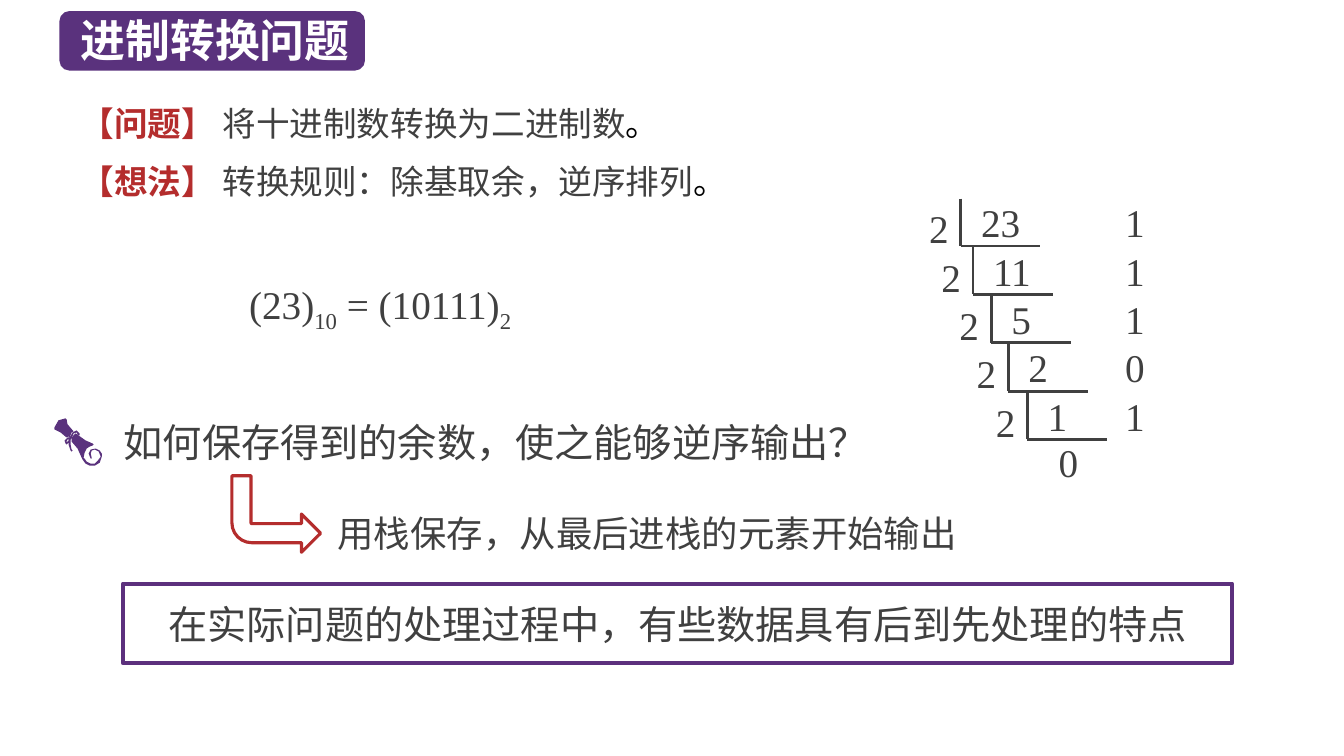
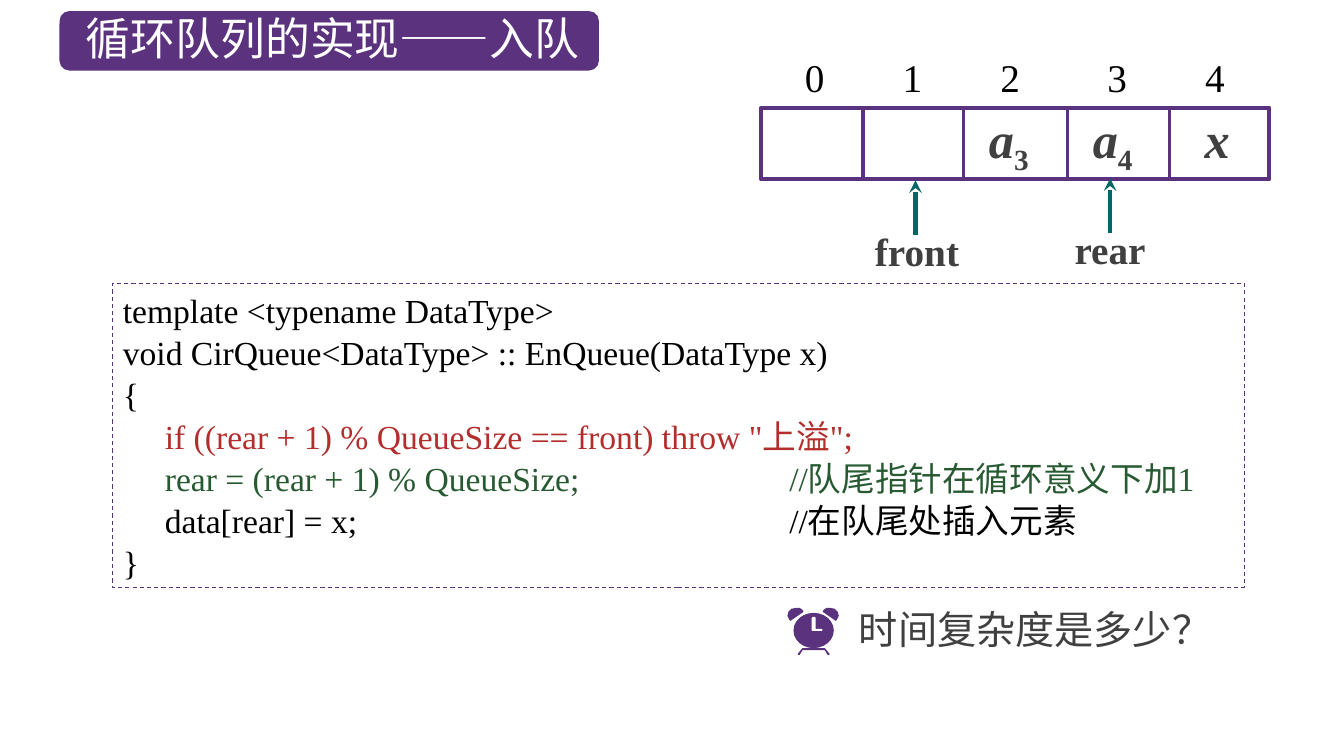
from lxml.etree import SubElement
from pptx import Presentation
from pptx.dml.color import RGBColor
from pptx.enum.dml import MSO_LINE
from pptx.enum.shapes import MSO_CONNECTOR, MSO_SHAPE
from pptx.enum.text import MSO_ANCHOR, MSO_AUTO_SIZE, PP_ALIGN
from pptx.oxml.ns import qn
from pptx.util import Pt

PX = 9144  # EMU in one px, 100 px to the inch
PURPLE = RGBColor(0x5A, 0x32, 0x7D)
FRAME_PURPLE = RGBColor(0x5C, 0x30, 0x7D)
RED = RGBColor(0xB4, 0x2D, 0x2D)
GREEN = RGBColor(0x28, 0x5A, 0x32)
TEAL = RGBColor(0x00, 0x66, 0x66)
GRAY = RGBColor(0x40, 0x40, 0x40)
BLACK = RGBColor(0x00, 0x00, 0x00)
WHITE = RGBColor(0xFF, 0xFF, 0xFF)
SERIF = "Times New Roman"
SANS = "Noto Sans CJK SC"


def write(paragraph, runs, size=28, color=GRAY, bold=False, italic=False,
          font=SERIF, align=PP_ALIGN.LEFT, spacing=None):
    """Fill a paragraph; runs is a text or a list of (text, changes)."""
    paragraph.alignment = align
    if spacing:
        paragraph.line_spacing = Pt(spacing)
    paragraph.font.size = Pt(size)
    paragraph.font.bold = bold
    paragraph.font.italic = italic
    paragraph.font.color.rgb = color
    paragraph.font.name = font
    default = paragraph._p.pPr.find(qn("a:defRPr"))
    SubElement(default, qn("a:ea")).set("typeface", SANS)
    for text, changes in [(runs, {})] if isinstance(runs, str) else runs:
        run = paragraph.add_run()
        run.text = text
        if "color" in changes:
            run.font.color.rgb = changes["color"]
        if "bold" in changes:
            run.font.bold = changes["bold"]
        if "subscript" in changes:
            run.font.italic = False
            run._r.get_or_add_rPr().set("baseline", "-25000")


def add_text(slide, left, top, width, height, runs, margins=True, **style):
    box = slide.shapes.add_textbox(left * PX, top * PX, width * PX, height * PX)
    frame = box.text_frame
    frame.word_wrap = True
    if not margins:
        frame.margin_left = frame.margin_right = 0
        frame.margin_top = frame.margin_bottom = 0
    write(frame.paragraphs[0], runs, **style)


presentation = Presentation()
presentation.slide_width = 1333 * PX
presentation.slide_height = 750 * PX

# Titles on rounded bands
slides = []
for text, band_width, title_top, title_width, bold, align in (
    ("进制转换问题", 303, 7, 299, True, PP_ALIGN.LEFT),
    ("循环队列的实现——入队", 535, 5, 520, False, PP_ALIGN.CENTER),
):
    slide = presentation.slides.add_slide(presentation.slide_layouts[5])
    slides.append(slide)
    band = slide.shapes.add_shape(
        MSO_SHAPE.ROUNDED_RECTANGLE, 59 * PX, 11 * PX, band_width * PX, 59 * PX)
    band.shadow.inherit = False
    band.fill.solid()
    band.fill.fore_color.rgb = PURPLE
    band.line.fill.background()
    title = slide.shapes.title
    title.element.addprevious(band.element)
    title.left, title.top = 70 * PX, title_top * PX
    title.width, title.height = title_width * PX, 64 * PX
    title.text_frame.auto_size = MSO_AUTO_SIZE.NONE
    title.text_frame.vertical_anchor = MSO_ANCHOR.MIDDLE
    write(title.text_frame.paragraphs[0], text, size=32, color=WHITE,
          bold=bold, font=SANS, align=align)
conversion, enqueue = slides

# Outlined boxes and the bent arrow
outlined = []
for slide, kind, left, top, width, height, color, weight in (
    (conversion, MSO_SHAPE.RECTANGLE, 122, 579, 1100, 79, FRAME_PURPLE, 3),
    (conversion, MSO_SHAPE.BENT_ARROW, 230, 472, 88, 76, RED, 2.25),
    (enqueue, MSO_SHAPE.RECTANGLE, 112, 281, 1122, 302, PURPLE, 0.75),
    (enqueue, MSO_SHAPE.RECTANGLE, 755, 107, 504, 71, PURPLE, 3),
):
    shape = slide.shapes.add_shape(
        kind, left * PX, top * PX, width * PX, height * PX)
    shape.shadow.inherit = False
    shape.fill.background()
    shape.line.color.rgb = color
    shape.line.width = Pt(weight)
    outlined.append(shape)
summary, bent_arrow, code_box, queue_box = outlined

# Slide 1: problem, idea and conclusion
for top, height, label, sentence, spacing in (
    (97, 50, "【问题】 ", "将十进制数转换为二进制数", None),
    (153, 52, "【想法】 ", "转换规则：除基取余，逆序排列", 30),
):
    add_text(conversion, 70, top, 1142, height, [
        (label, {"color": RED, "bold": True}),
        (sentence, {}),
        ("。", {"color": BLACK}),
    ], size=24, spacing=spacing)
add_text(conversion, 193, 278, 368, 47, [
    ("(23)", {}), ("10", {"subscript": True}),
    (" = (10111)", {}), ("2", {"subscript": True}),
], margins=False, align=PP_ALIGN.CENTER)
add_text(conversion, 113, 410, 1162, 57, "如何保存得到的余数，使之能够逆序输出？")
add_text(conversion, 325, 502, 897, 54, "用栈保存，从最后进栈的元素开始输出", size=26)
bent_arrow.adjustments[3] = 0.26
bent_arrow.element.spPr.find(qn("a:xfrm")).set("flipV", "1")
summary.text_frame.word_wrap = True
summary.text_frame.vertical_anchor = MSO_ANCHOR.MIDDLE
write(summary.text_frame.paragraphs[0],
      "在实际问题的处理过程中，有些数据具有后到先处理的特点",
      font=SANS, align=PP_ALIGN.CENTER)

# Slide 1: repeated division by two
lines = []  # slide, start x, start y, end x, end y, colour, weight, arrow
for step, (left, dividend, remainder) in enumerate((
    (953, "23", "1"), (965, "11", "1"), (983, "5", "1"),
    (1000, "2", "0"), (1019, "1", "1"),
)):
    top = 197 + 48 * step
    base = top + 47
    lines.append((conversion, left, top, left, base, GRAY, 2, False))
    lines.append((conversion, left, base, left + 79, base, GRAY, 2, False))
    add_text(conversion, left - 67, top + 6, 55, 47, "2", margins=False,
             align=PP_ALIGN.RIGHT)
    add_text(conversion, left + 20, top, 55, 47, dividend, margins=False)
    add_text(conversion, 1116, top, 55, 47, remainder, margins=False)
add_text(conversion, 1050, 435, 55, 47, "0", margins=False)

# Slide 2: queue cells, indexes and pointers
for index, center in enumerate((808, 905, 1002, 1108, 1205)):
    add_text(enqueue, center - 30, 48, 60, 57, str(index), color=BLACK,
             align=PP_ALIGN.CENTER)
for left, runs in (
    (971, [("a", {}), ("3", {"subscript": True})]),
    (1074, [("a", {}), ("4", {"subscript": True})]),
    (1185, "x"),
):
    add_text(enqueue, left, 102, 64, 70, runs, size=36, bold=True, italic=True)
for divider in (856, 956, 1059, 1160):
    lines.append((enqueue, divider, 107, divider, 178, PURPLE, 2.25, False))
for name, left, arrow_x, tip in (("front", 858, 908, 179), ("rear", 1056, 1101, 177)):
    lines.append((enqueue, arrow_x, tip + 54, arrow_x, tip, TEAL, 3, True))
    add_text(enqueue, left, tip + 42, 113, 57, name, bold=True)

# Slide 2: code
code_frame = code_box.text_frame
code_frame.word_wrap = True
code_frame.vertical_anchor = MSO_ANCHOR.TOP
for number, (text, color) in enumerate((
    ("template <typename DataType>", BLACK),
    ("void CirQueue<DataType> :: EnQueue(DataType x)", BLACK),
    ("{", BLACK),
    ('     if ((rear + 1) % QueueSize == front) throw "上溢";', RED),
    ("     rear = (rear + 1) % QueueSize;\t//队尾指针在循环意义下加1", GREEN),
    ("     data[rear] = x;\t//在队尾处插入元素", BLACK),
    ("}", BLACK),
)):
    paragraph = code_frame.add_paragraph() if number else code_frame.paragraphs[0]
    if "\t" in text:
        tabs = SubElement(paragraph._p.get_or_add_pPr(), qn("a:tabLst"))
        tab = SubElement(tabs, qn("a:tab"))
        tab.set("pos", str(661 * PX))
        tab.set("algn", "l")
    write(paragraph, text, size=24, color=color, spacing=30)
code_box.line.dash_style = MSO_LINE.DASH
add_text(enqueue, 842, 596, 392, 57, "时间复杂度是多少？", font=SANS)

# Straight lines and arrows of both slides
for slide, x1, y1, x2, y2, color, weight, arrow in lines:
    connector = slide.shapes.add_connector(
        MSO_CONNECTOR.STRAIGHT, x1 * PX, y1 * PX, x2 * PX, y2 * PX)
    connector.line.color.rgb = color
    connector.line.width = Pt(weight)
    properties = connector.element.spPr
    if arrow:
        SubElement(properties.find(qn("a:ln")), qn("a:tailEnd")).set("type", "stealth")
    SubElement(properties, qn("a:effectLst"))

# Icons: a scroll and an alarm clock
face = enqueue.shapes.add_shape(MSO_SHAPE.OVAL, 787 * PX, 608 * PX, 40 * PX, 35 * PX)
face.shadow.inherit = False
face.fill.solid()
face.fill.fore_color.rgb = PURPLE
face.line.fill.background()

scroll_top = [
    (68, 433), (69, 434), (71, 429), (73, 428), (67, 421), (66, 416), (65, 415),
    (58, 417), (54, 424), (54, 426), (60, 429), (66, 434)]
scroll_curl = [
    (99, 447), (95, 445), (90, 446), (88, 450), (90, 455), (91, 455), (91, 454),
    (90, 450), (91, 447), (94, 446), (98, 448), (100, 453), (97, 457), (94, 460),
    (90, 460), (86, 458), (84, 455), (83, 454), (84, 449), (86, 445), (89, 443),
    (92, 442), (93, 441), (92, 440), (85, 437), (78, 432), (77, 431), (75, 430),
    (74, 431), (72, 433), (71, 435), (71, 438), (77, 445), (81, 454), (82, 456),
    (85, 460), (89, 462), (94, 462), (99, 459), (101, 453), (101, 450)]
ribbon = [
    (71, 448), (70, 447), (68, 441), (68, 439), (67, 440), (66, 441), (65, 440),
    (64, 437), (67, 434), (69, 434), (72, 429), (76, 427), (79, 430), (79, 432),
    (78, 432), (77, 431), (76, 429), (73, 430), (71, 435), (70, 436), (70, 441),
    (71, 446), (72, 447)]
ribbon_hole = [(67, 436), (66, 438), (66, 439), (68, 437), (68, 436)]
left_bell = [
    (790, 603), (785, 604), (782, 607), (781, 611), (783, 615), (784, 616),
    (797, 607), (796, 605), (793, 603)]
right_bell = [(1613 - x, y) for x, y in left_bell]
feet = [
    (823, 649), (819, 644), (818, 643), (796, 643), (795, 644), (791, 649),
    (792, 650), (793, 650), (796, 645), (818, 645), (821, 650), (822, 650)]
hands = [
    (805, 613), (806, 612), (808, 612), (809, 613), (809, 624), (815, 624),
    (816, 625), (815, 626), (806, 626), (805, 625)]
for slide, color, contours in (
    (conversion, PURPLE, [scroll_top]),
    (conversion, PURPLE, [scroll_curl]),
    (conversion, PURPLE, [ribbon, ribbon_hole]),
    (enqueue, PURPLE, [left_bell]),
    (enqueue, PURPLE, [right_bell]),
    (enqueue, PURPLE, [feet]),
    (enqueue, WHITE, [hands]),
):
    builder = slide.shapes.build_freeform(*contours[0][0], scale=PX)
    for contour in contours:
        builder.move_to(*contour[0])
        builder.add_line_segments(contour[1:], close=True)
    outline = builder.convert_to_shape()
    outline.shadow.inherit = False
    outline.fill.solid()
    outline.fill.fore_color.rgb = color
    outline.line.fill.background()

presentation.save("out.pptx")
